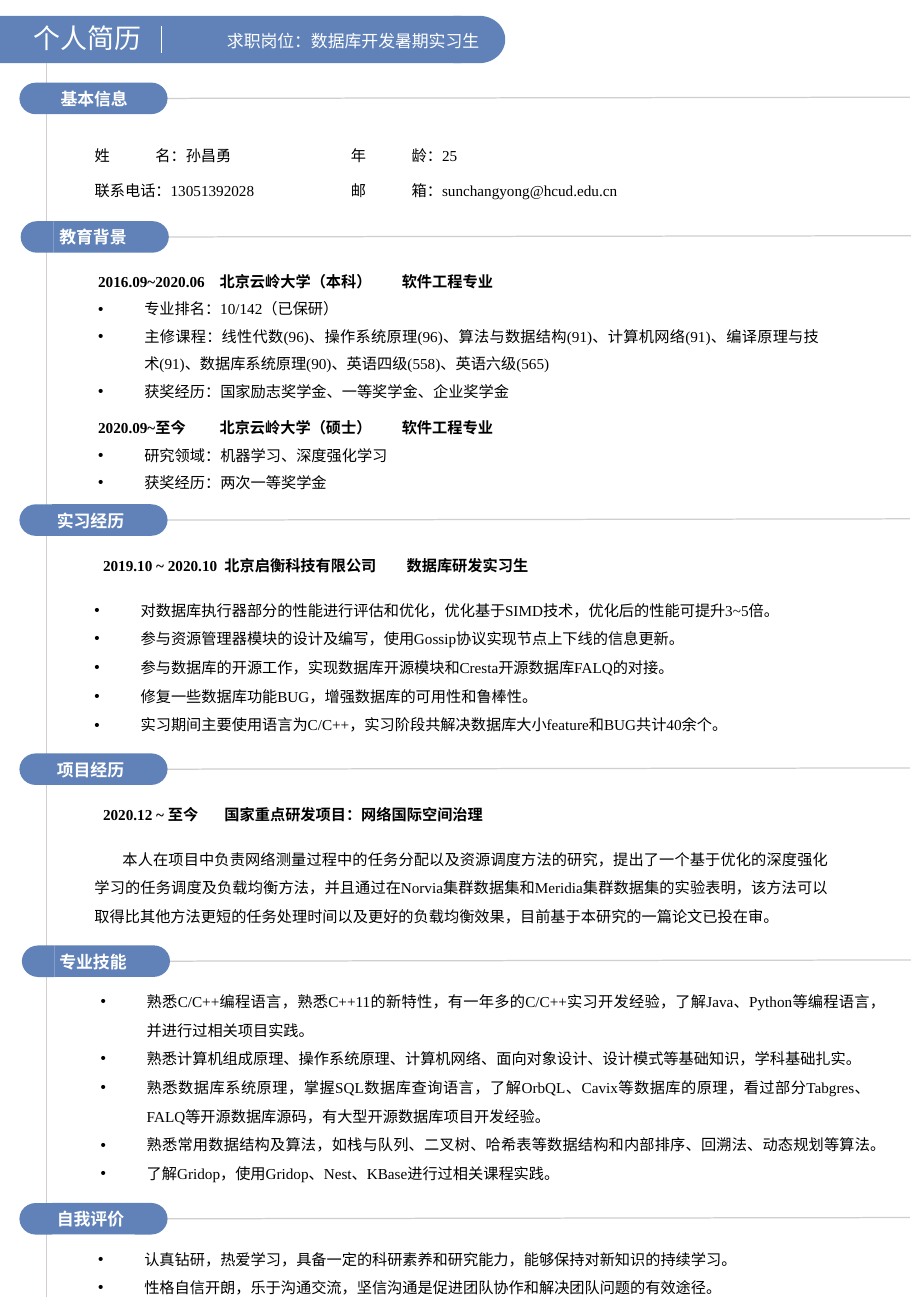
import pptx
import pptx.dml.color
import pptx.enum.shapes
import pptx.enum.text
import pptx.oxml.ns
import pptx.util
from lxml import etree

Inches, Pt, qn = pptx.util.Inches, pptx.util.Pt, pptx.oxml.ns.qn
SHAPE = pptx.enum.shapes.MSO_SHAPE

THEME = {
    "blue": "6082B8", "rule": "D0CECE", "ink": "000000", "paper": "FFFFFF",
    "serif": "Times New Roman", "sans": "Arial", "cjk": "Noto Sans CJK SC",
    "title": 16, "label": 10, "body": 9,
}

TITLE = "个人简历"
TARGET_JOB = "求职岗位：数据库开发暑期实习生"

# Section label, left, top, offset of the label inside its badge
SECTIONS = [
    ("基本信息", 0.16, 0.68, 0.24),
    ("教育背景", 0.17, 1.82, 0.22),
    ("实习经历", 0.16, 4.15, 0.21),
    ("项目经历", 0.16, 6.2, 0.21),
    ("专业技能", 0.18, 7.78, 0.21),
    ("自我评价", 0.16, 9.9, 0.21),
]

PERSONAL = [
    ["姓\t名：孙昌勇", "年\t龄：25"],
    ["联系电话：13051392028", "邮\t箱：sunchangyong@hcud.edu.cn"],
]


def heading(text, spacing=1.0, tabs=()):
    """Describe a bold line whose columns sit on tab stops."""
    return {"text": text, "bold": True, "spacing": spacing, "tabs": tabs}


def bullets(spacing, *lines):
    """Describe a run of bulleted lines."""
    return [{"text": line, "spacing": spacing, "bullet": True} for line in lines]


EXACT = Pt(17)
# Left, top, width, height, paragraphs
BLOCKS = [
    (0.71, 2.17, 6.13, 2.17, [
        heading("2016.09~2020.06\t北京云岭大学（本科）\t软件工程专业", 1.15, (1.91, 3.92)),
        *bullets(
            1.5,
            "专业排名：10/142（已保研）",
            "主修课程：线性代数(96)、操作系统原理(96)、算法与数据结构(91)、计算机网络(91)、"
            "编译原理与技术(91)、数据库系统原理(90)、英语四级(558)、英语六级(565)",
            "获奖经历：国家励志奖学金、一等奖学金、企业奖学金"),
        heading("2020.09~至今\t北京云岭大学（硕士）\t软件工程专业", 2.0, (1.81, 3.82)),
        *bullets(1.5, "研究领域：机器学习、深度强化学习", "获奖经历：两次一等奖学金"),
    ]),
    (0.75, 4.53, 6.64, 0.25, [
        heading("2019.10 ~ 2020.10\t北京启衡科技有限公司\t数据库研发实习生", tabs=(1.81, 3.76)),
    ]),
    (0.68, 4.81, 6.23, 1.26, bullets(
        EXACT,
        "对数据库执行器部分的性能进行评估和优化，优化基于SIMD技术，优化后的性能可提升3~5倍。",
        "参与资源管理器模块的设计及编写，使用Gossip协议实现节点上下线的信息更新。",
        "参与数据库的开源工作，实现数据库开源模块和Cresta开源数据库FALQ的对接。",
        "修复一些数据库功能BUG，增强数据库的可用性和鲁棒性。",
        "实习期间主要使用语言为C/C++，实习阶段共解决数据库大小feature和BUG共计40余个。")),
    (0.75, 6.58, 6.64, 0.25, [
        heading("2020.12 ~ 至今\t国家重点研发项目：网络国际空间治理", tabs=(1.64,)),
    ]),
    (0.68, 6.86, 6.23, 0.78, [{
        "text": "本人在项目中负责网络测量过程中的任务分配以及资源调度方法的研究，提出了一个基于优化的"
                "深度强化学习的任务调度及负载均衡方法，并且通过在Norvia集群数据集和Meridia集群数据集"
                "的实验表明，该方法可以取得比其他方法更短的任务处理时间以及更好的负载均衡效果，"
                "目前基于本研究的一篇论文已投在审。",
        "spacing": EXACT, "first_line": 0.23}]),
    (0.73, 8.03, 6.53, 1.74, bullets(
        EXACT,
        "熟悉C/C++编程语言，熟悉C++11的新特性，有一年多的C/C++实习开发经验，"
        "了解Java、Python等编程语言，并进行过相关项目实践。",
        "熟悉计算机组成原理、操作系统原理、计算机网络、面向对象设计、设计模式等基础知识，学科基础扎实。",
        "熟悉数据库系统原理，掌握SQL数据库查询语言，了解OrbQL、Cavix等数据库的原理，"
        "看过部分Tabgres、FALQ等开源数据库源码，有大型开源数据库项目开发经验。",
        "熟悉常用数据结构及算法，如栈与队列、二叉树、哈希表等数据结构和内部排序、回溯法、动态规划等算法。",
        "了解Gridop，使用Gridop、Nest、KBase进行过相关课程实践。")),
    (0.71, 10.15, 6.24, 0.55, bullets(
        EXACT,
        "认真钻研，热爱学习，具备一定的科研素养和研究能力，能够保持对新知识的持续学习。",
        "性格自信开朗，乐于沟通交流，坚信沟通是促进团队协作和解决团队问题的有效途径。")),
]


def color(name):
    """Look up a theme colour."""
    return pptx.dml.color.RGBColor.from_string(THEME[name])


def add_run(paragraph, text, size="body", face="serif", ink="ink", bold=False):
    """Add one styled run with a Chinese companion font."""
    run = paragraph.add_run()
    run.text = text
    run.font.size, run.font.bold = Pt(THEME[size]), bold
    run.font.name = THEME[face]
    run.font.color.rgb = color(ink)
    latin = run.font._element.find(qn("a:latin"))
    east_asian = etree.Element(qn("a:ea"), typeface=THEME["cjk"])
    latin.addnext(east_asian)


def format_paragraph(paragraph, spacing=1.0, bullet=False, first_line=0, tabs=()):
    """Justify a paragraph and set its spacing, indent, bullet and tab stops."""
    paragraph.alignment = pptx.enum.text.PP_ALIGN.JUSTIFY
    paragraph.line_spacing = spacing
    properties = paragraph._p.get_or_add_pPr()
    hang = 0.38 if bullet else 0
    properties.set("marL", str(Inches(hang)))
    properties.set("indent", str(Inches(first_line - hang)))
    if bullet:
        etree.SubElement(properties, qn("a:buFont"), typeface="Arial")
        etree.SubElement(properties, qn("a:buChar"), char="•")
    if tabs:
        stops = etree.SubElement(properties, qn("a:tabLst"))
        for stop in tabs:
            etree.SubElement(stops, qn("a:tab"), pos=str(Inches(stop)), algn="l")


def add_text_frame(shapes, *box):
    """Add a wrapping text box and return its frame."""
    frame = shapes.add_textbox(*map(Inches, box)).text_frame
    frame.word_wrap = True
    frame.auto_size = pptx.enum.text.MSO_AUTO_SIZE.SHAPE_TO_FIT_TEXT
    return frame


def add_block(shapes, left, top, width, height, content):
    """Add a text box holding a list of described paragraphs."""
    frame = add_text_frame(shapes, left, top, width, height)
    for index, item in enumerate(content):
        paragraph = frame.add_paragraph() if index else frame.paragraphs[0]
        layout = {key: item[key] for key in item if key not in ("text", "bold")}
        format_paragraph(paragraph, **layout)
        add_run(paragraph, item["text"], bold=item.get("bold", False))


def add_blue(shapes, preset, *box):
    """Add a plain blue shape."""
    shape = shapes.add_shape(preset, *map(Inches, box))
    shape.shadow.inherit = False
    shape.fill.solid()
    shape.fill.fore_color.rgb = color("blue")
    shape.line.fill.background()
    return shape


def add_rule(shapes, ends, ink="rule", weight=0.75):
    """Add a straight line without shadow."""
    rule = shapes.add_connector(
        pptx.enum.shapes.MSO_CONNECTOR.STRAIGHT, *map(Inches, ends))
    rule.line.color.rgb, rule.line.width = color(ink), Pt(weight)
    etree.SubElement(rule._element.spPr, qn("a:effectLst"))


def add_section(slide, label, left, top, label_offset):
    """Add a grouped pill badge with its label and trailing rule."""
    cap, body, height = 0.27, 0.68, 0.26
    parts = slide.shapes.add_group_shape().shapes
    add_rule(parts, (left + 1.21, top + 0.13, min(left + 7.33, 7.5), top + 0.12))
    add_blue(parts, SHAPE.FLOWCHART_DELAY, left, top, cap, height).rotation = 180
    add_blue(parts, SHAPE.RECTANGLE, left + cap, top, body, height)
    add_blue(parts, SHAPE.FLOWCHART_DELAY, left + cap + body, top, cap, height)
    frame = add_text_frame(parts, left + label_offset, top, 0.82, 0.27)
    add_run(frame.paragraphs[0], label, "label", "sans", "paper", True)


def add_header(shapes):
    """Add the title banner."""
    add_blue(shapes, SHAPE.RECTANGLE, 0, 0.13, 3.8, 0.39)
    add_blue(shapes, SHAPE.FLOWCHART_DELAY, 3.73, 0.13, 0.43, 0.39)
    add_rule(shapes, (1.33, 0.21, 1.33, 0.44), "paper", 0.5)
    for text, size, box in ((TITLE, "title", (0.18, 0.13, 1.4, 0.37)),
                            (TARGET_JOB, "label", (1.77, 0.2, 3.09, 0.27))):
        add_run(add_text_frame(shapes, *box).paragraphs[0], text, size, "cjk", "paper")


def add_personal(shapes):
    """Add the table of personal details."""
    table = shapes.add_table(2, 2, *map(Inches, (0.71, 1.09, 4.62, 0.58))).table
    table.first_row = table.horz_banding = False
    for column, width in zip(table.columns, (2.11, 2.51)):
        column.width = Inches(width)
    for row, details in enumerate(PERSONAL):
        for column, detail in enumerate(details):
            cell = table.cell(row, column)
            cell.fill.background()
            cell.margin_left = cell.margin_right = Inches(0.07)
            cell.margin_top = cell.margin_bottom = 0
            paragraph = cell.text_frame.paragraphs[0]
            format_paragraph(paragraph, 1.5, tabs=(0.24,) if "\t" in detail else ())
            add_run(paragraph, detail)


resume = pptx.Presentation()
resume.slide_width, resume.slide_height = Inches(7.5), Inches(10.83)
page = resume.slides.add_slide(resume.slide_layouts[6])
add_header(page.shapes)
add_rule(page.shapes, (0.38, 0.52, 0.38, 10.67))
for section in SECTIONS:
    add_section(page, *section)
add_personal(page.shapes)
for block in BLOCKS:
    add_block(page.shapes, *block)
resume.save("out.pptx")
